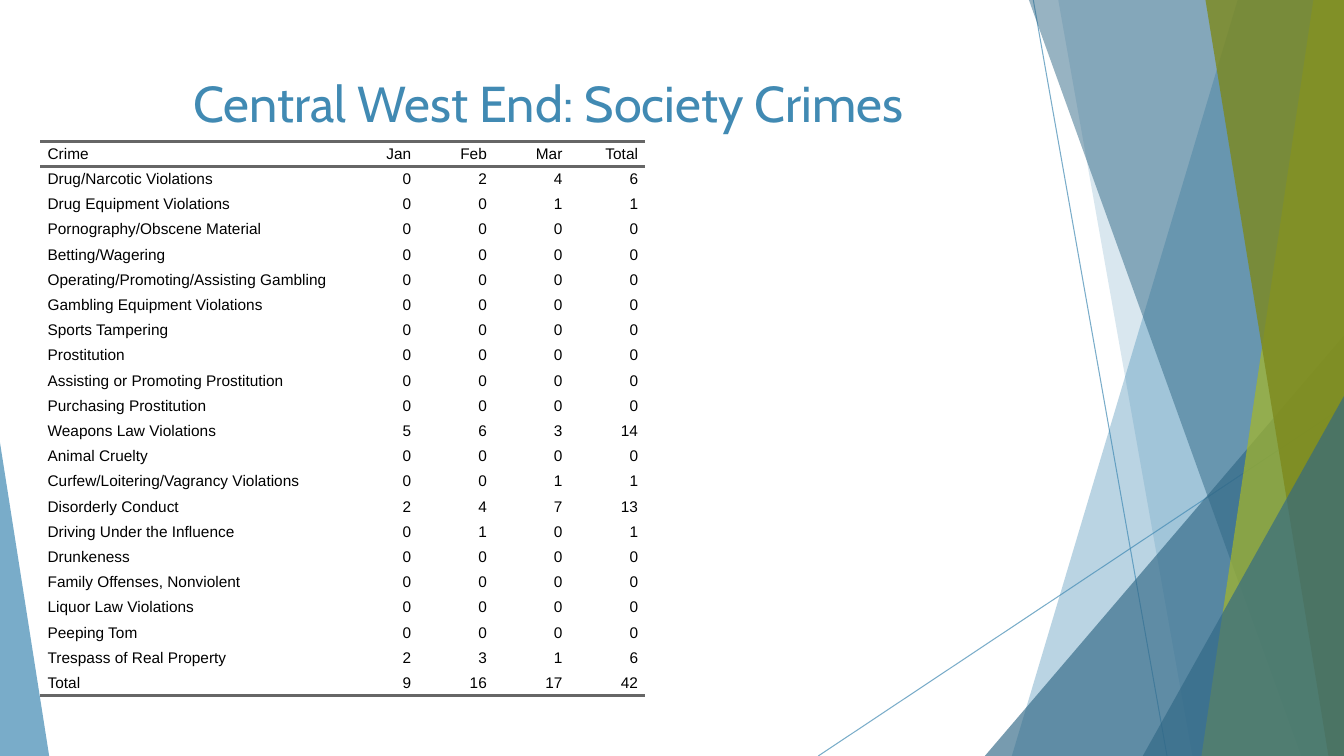
from dataclasses import dataclass

from lxml.etree import SubElement
from pptx import Presentation
from pptx.dml.color import RGBColor
from pptx.enum.shapes import MSO_CONNECTOR, MSO_SHAPE
from pptx.enum.text import MSO_ANCHOR, PP_ALIGN
from pptx.oxml.ns import qn
from pptx.util import Cm, Pt

WIDTH, HEIGHT = 33.87, 19.05
BLUE, DARK_BLUE, LIME, OLIVE = "418AB3", "316886", "A6B727", "7D891D"
BLACK, RULE_GREY = "000000", "666666"
NO_STYLE_NO_GRID = "{2D5ABB26-0587-4C30-8999-92F81FD0307C}"


@dataclass
class Ray:
    start: tuple[float, float]
    end: tuple[float, float]


@dataclass
class Band:
    """A full-height band whose slanted left edge runs from top to bottom."""
    top_left: float
    bottom_left: float
    color: str
    opacity: int


@dataclass
class Corner:
    """A right triangle standing on the bottom edge of the slide."""
    left: float
    top: float
    width: float
    apex: float
    color: str
    opacity: int


@dataclass
class Crime:
    name: str
    months: tuple[int, int, int] = (0, 0, 0)


RAYS = [
    Ray((26.04, 0), (29.41, HEIGHT)),
    Ray((WIDTH, 10.24), (20.62, HEIGHT)),
]
FACETS = [
    Band(31.19, 25.5, BLUE, 36),
    Band(26.67, 30.05, BLUE, 20),
    Corner(24.82, 8.46, 9.05, 1, DARK_BLUE, 66),
    Band(25.93, 32.79, DARK_BLUE, 50),
    Band(33.1, 30.28, LIME, 70),
    Band(30.38, 33.48, OLIVE, 80),
    Corner(28.8, 9.98, 5.07, 1, DARK_BLUE, 66),
    Corner(0, 11.15, 1.24, 0, BLUE, 70),
]
CRIMES = [
    Crime("Drug/Narcotic Violations", (0, 2, 4)),
    Crime("Drug Equipment Violations", (0, 0, 1)),
    Crime("Pornography/Obscene Material"),
    Crime("Betting/Wagering"),
    Crime("Operating/Promoting/Assisting Gambling"),
    Crime("Gambling Equipment Violations"),
    Crime("Sports Tampering"),
    Crime("Prostitution"),
    Crime("Assisting or Promoting Prostitution"),
    Crime("Purchasing Prostitution"),
    Crime("Weapons Law Violations", (5, 6, 3)),
    Crime("Animal Cruelty"),
    Crime("Curfew/Loitering/Vagrancy Violations", (0, 0, 1)),
    Crime("Disorderly Conduct", (2, 4, 7)),
    Crime("Driving Under the Influence", (0, 1, 0)),
    Crime("Drunkeness"),
    Crime("Family Offenses, Nonviolent"),
    Crime("Liquor Law Violations"),
    Crime("Peeping Tom"),
    Crime("Trespass of Real Property", (2, 3, 1)),
]


def rgb(color: str) -> RGBColor:
    return RGBColor.from_string(color)


def set_opacity(shape, percent: int) -> None:
    for color in shape._element.spPr.iter(qn("a:srgbClr")):
        SubElement(color, qn("a:alpha"), val=str(percent * 1000))


def draw_ray(slide, ray: Ray) -> None:
    points = [Cm(value) for value in ray.start + ray.end]
    connector = slide.shapes.add_connector(MSO_CONNECTOR.STRAIGHT, *points)
    connector.line.color.rgb = rgb(BLUE)
    connector.line.width = Pt(0.75)
    set_opacity(connector, 70)
    SubElement(connector._element.spPr, qn("a:effectLst"))


def draw_facet(slide, facet: Band | Corner) -> None:
    if isinstance(facet, Band):
        builder = slide.shapes.build_freeform(Cm(facet.top_left), 0)
        outline = [(WIDTH, 0), (WIDTH, HEIGHT), (facet.bottom_left, HEIGHT)]
        builder.add_line_segments([(Cm(x), Cm(y)) for x, y in outline])
        shape = builder.convert_to_shape()
    else:
        shape = slide.shapes.add_shape(
            MSO_SHAPE.ISOSCELES_TRIANGLE, Cm(facet.left), Cm(facet.top),
            Cm(facet.width), Cm(HEIGHT - facet.top))
        shape.adjustments[0] = facet.apex
    shape.shadow.inherit = False
    shape.fill.solid()
    shape.fill.fore_color.rgb = rgb(facet.color)
    shape.line.fill.background()
    set_opacity(shape, facet.opacity)


def add_rule(cell, side: str) -> None:
    properties = cell._tc.get_or_add_tcPr()
    border = properties.makeelement(qn(f"a:{side}"), w=str(Pt(2)))
    fill = SubElement(border, qn("a:solidFill"))
    SubElement(fill, qn("a:srgbClr"), val=RULE_GREY)
    # Borders come before the fill, top before bottom
    properties.insert(len(properties) - 1, border)


def fill_cell(cell, text: str, is_name: bool) -> None:
    cell.margin_left = cell.margin_right = Cm(0.18)
    cell.margin_top = cell.margin_bottom = 0
    cell.vertical_anchor = MSO_ANCHOR.MIDDLE
    cell.fill.background()
    cell.text = text
    paragraph = cell.text_frame.paragraphs[0]
    paragraph.alignment = PP_ALIGN.LEFT if is_name else PP_ALIGN.RIGHT
    paragraph.font.name = "Arial"
    paragraph.font.size = Pt(11)
    paragraph.font.color.rgb = rgb(BLACK)


def draw_table(slide, crimes: list[Crime]) -> None:
    month_totals = [sum(month) for month in zip(*(crime.months for crime in crimes))]
    rows = [("Crime", "Jan", "Feb", "Mar", "Total")]
    rows += [(crime.name, *crime.months, sum(crime.months)) for crime in crimes]
    rows.append(("Total", *month_totals, sum(month_totals)))

    frame = slide.shapes.add_table(
        len(rows), len(rows[0]), Cm(1.02), Cm(3.56), Cm(15.24), Cm(13.97))
    table = frame.table
    table.first_row = table.horz_banding = False
    table._tbl.tblPr.find(qn("a:tableStyleId")).text = NO_STYLE_NO_GRID
    for index, column in enumerate(table.columns):
        column.width = Cm(7.62) if index == 0 else Cm(7.62) // 4
    for row_index, values in enumerate(rows):
        table.rows[row_index].height = Cm(13.97) // len(rows)
        for column_index, value in enumerate(values):
            cell = table.cell(row_index, column_index)
            fill_cell(cell, str(value), column_index == 0)
            if row_index == 0:
                add_rule(cell, "lnT")
            if row_index in (0, len(rows) - 1):
                add_rule(cell, "lnB")


def format_title(slide, text: str) -> None:
    title = slide.shapes.title
    title.left, title.top, title.width, title.height = Cm(1.88), Cm(1.7), Cm(23.88), Cm(3.66)
    title.text_frame.text = text
    title.text_frame.word_wrap = True
    title.text_frame.vertical_anchor = MSO_ANCHOR.TOP
    paragraph = title.text_frame.paragraphs[0]
    paragraph.alignment = PP_ALIGN.CENTER
    paragraph.font.name = "Cabin"
    paragraph.font.size = Pt(36)
    paragraph.font.color.rgb = rgb(BLUE)
    # Bring the title to the front
    slide.shapes._spTree.append(title._element)


def main() -> None:
    presentation = Presentation()
    presentation.slide_width, presentation.slide_height = Cm(WIDTH), Cm(HEIGHT)
    slide = presentation.slides.add_slide(presentation.slide_layouts[5])

    # Background decoration
    for ray in RAYS:
        draw_ray(slide, ray)
    for facet in FACETS:
        draw_facet(slide, facet)

    # Content
    draw_table(slide, CRIMES)
    format_title(slide, "Central West End: Society Crimes")
    presentation.save("out.pptx")


if __name__ == "__main__":
    main()
